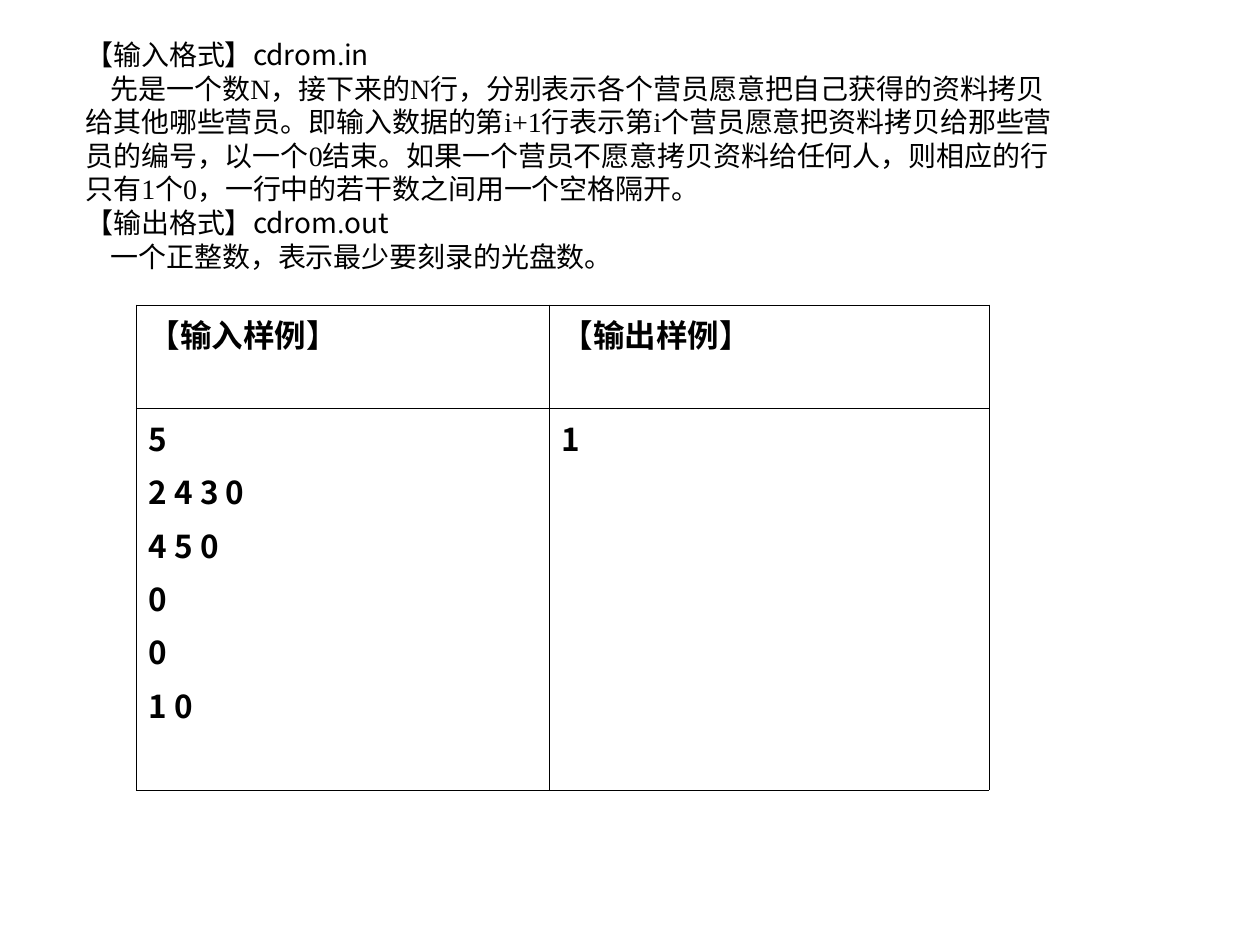
from itertools import cycle

from lxml.etree import SubElement
from pptx import Presentation
from pptx.dml.color import RGBColor
from pptx.oxml.ns import qn
from pptx.util import Inches, Pt

BLACK = RGBColor(0, 0, 0)
SANS = "Noto Sans CJK SC"
SERIF = "Times New Roman"


def set_typeface(font, latin):
    """Set the Latin face, keeping the sans face for Chinese characters."""
    font.name = latin
    SubElement(font._rPr, qn("a:ea"), typeface=SANS)


def draw_borders(cell):
    properties = cell._tc.get_or_add_tcPr()
    for position, side in enumerate(("lnL", "lnR", "lnT", "lnB")):
        line = SubElement(properties, qn(f"a:{side}"), w=str(Pt(0.23)))
        properties.insert(position, line)
        fill = SubElement(line, qn("a:solidFill"))
        SubElement(fill, qn("a:srgbClr"), val=str(BLACK))


prs = Presentation()
prs.slide_width, prs.slide_height = Inches(10), Inches(7.5)
slide = prs.slides.add_slide(prs.slide_layouts[6])

# Problem statement: "|" switches between the sans and the serif face
statement = [
    ("【输入格式】cdrom|.|in", 0),
    ("先是一个数|N|，接下来的|N|行，分别表示各个营员愿意把自己获得的资料拷贝给其他哪些营员。"
     "即输入数据的第|i+1|行表示第|i|个营员愿意把资料拷贝给那些营员的编号，以一个|0|结束。"
     "如果一个营员不愿意拷贝资料给任何人，则相应的行只有|1|个|0|，一行中的若干数之间用一个空格隔开。", 0.2),
    ("【输出格式】cdrom|.|out", 0),
    ("一个正整数，表示最少要刻录的光盘数。", 0.2),
]
statement_box = slide.shapes.add_textbox(Inches(0.58), Inches(0.25), Inches(7.95), Inches(1.97))
statement_frame = statement_box.text_frame
statement_frame.word_wrap = True
for index, (text, indent) in enumerate(statement):
    paragraph = statement_frame.add_paragraph() if index else statement_frame.paragraphs[0]
    paragraph._p.get_or_add_pPr().set("indent", str(Inches(indent)))
    paragraph.line_spacing = Pt(19.2)
    paragraph.font.size = Pt(16)
    paragraph.font.color.rgb = BLACK
    for part, typeface in zip(text.split("|"), cycle((SANS, SERIF))):
        run = paragraph.add_run()
        run.text = part
        set_typeface(run.font, typeface)

# Sample input and output
samples = [
    ["【输入样例】", "【输出样例】"],
    ["5\n2 4 3 0\n4 5 0\n0\n0\n1 0", "1"],
]
sample_table = slide.shapes.add_table(
    2, 2, Inches(1.08), Inches(2.42), Inches(6.77), Inches(3.85)).table
sample_table.first_row = False
sample_table.horz_banding = False
for column, width in zip(sample_table.columns, (3.28, 3.49)):
    column.width = Inches(width)
for row, height, texts in zip(sample_table.rows, (0.82, 3.03), samples):
    row.height = Inches(height)
    for cell, text in zip(row.cells, texts):
        cell.text = text
        cell.fill.background()
        draw_borders(cell)
        for index, paragraph in enumerate(cell.text_frame.paragraphs):
            if index:
                paragraph.space_before = Pt(4.5)
            paragraph.font.size = Pt(18)
            paragraph.font.bold = True
            paragraph.font.color.rgb = BLACK
            set_typeface(paragraph.font, SANS)

prs.save("out.pptx")
